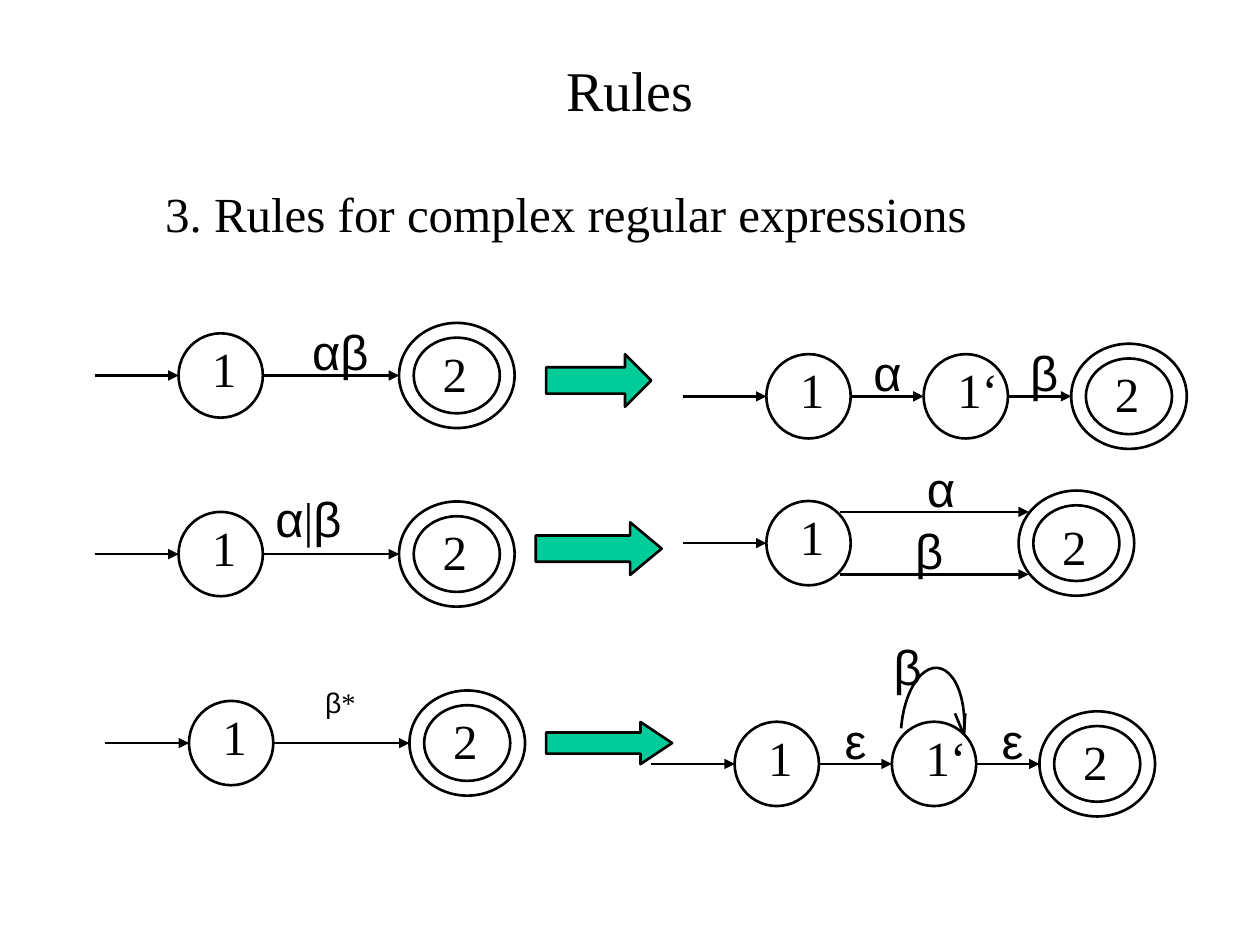
"""Build a slide of automaton rules for complex regular expressions."""
import itertools

import lxml.etree
import pptx
import pptx.dml.color
import pptx.enum.shapes
import pptx.enum.text
import pptx.oxml.ns
import pptx.util

BLACK = pptx.dml.color.RGBColor(0x00, 0x00, 0x00)
GREEN = pptx.dml.color.RGBColor(0x00, 0xCC, 0x99)
Cm = pptx.util.Cm
PRESET = pptx.enum.shapes.MSO_SHAPE
ALIGN = pptx.enum.text.PP_ALIGN
RADIUS = 0.85
ACCEPT_WIDTH, ACCEPT_HEIGHT = 2.33, 2.12
ENTRY_LENGTH = 1.69
LABEL_RISE = 0.49


def font_name(character):
    return "Arial" if character in "αβε" else "Times New Roman"


class AutomatonSlide:
    def __init__(self, slide):
        self.slide = slide

    def label(self, x, y, text, width=1.2, height=1.45, size=28, align=ALIGN.CENTER, raised=False):
        frame = self.slide.shapes.add_textbox(
            Cm(x - width / 2), Cm(y - height / 2), Cm(width), Cm(height)).text_frame
        frame.word_wrap = True
        frame.vertical_anchor = pptx.enum.text.MSO_ANCHOR.MIDDLE
        paragraph = frame.paragraphs[0]
        paragraph.alignment = align
        paragraph.font.size = pptx.util.Pt(size)
        paragraph.font.color.rgb = BLACK
        parts = [(name, "".join(part)) for name, part in itertools.groupby(text, font_name)]
        if len(parts) == 1:
            paragraph.font.name = parts[0][0]
        for name, part in parts:
            run = paragraph.add_run()
            run.text = part
            if len(parts) > 1:
                run.font.name = name
            if raised:
                run.font._element.set("baseline", "30000")

    def outline(self, preset, x, y, width, height, adjustments=(), fill=None):
        shape = self.slide.shapes.add_shape(
            preset, Cm(x - width / 2), Cm(y - height / 2), Cm(width), Cm(height))
        for index, value in enumerate(adjustments):
            shape.adjustments[index] = value
        shape.shadow.inherit = False
        if fill is None:
            shape.fill.background()
        else:
            shape.fill.solid()
            shape.fill.fore_color.rgb = fill
        shape.line.color.rgb = BLACK
        shape.line.width = pptx.util.Pt(1.5)
        return shape

    def line(self, x1, y1, x2, y2, arrow=True):
        connector = self.slide.shapes.add_connector(
            pptx.enum.shapes.MSO_CONNECTOR.STRAIGHT, Cm(x1), Cm(y1), Cm(x2), Cm(y2))
        connector.line.color.rgb = BLACK
        connector.line.width = pptx.util.Pt(1.5)
        qn = pptx.oxml.ns.qn
        if arrow:
            lxml.etree.SubElement(connector.line._get_or_add_ln(), qn("a:tailEnd"), type="triangle")
        lxml.etree.SubElement(connector._element.spPr, qn("a:effectLst"))

    def state(self, x, y, name="1", name_shift=0.07):
        self.outline(PRESET.OVAL, x, y, 2 * RADIUS, 2 * RADIUS)
        self.label(x + name_shift, y - 0.15, name, 1.4)

    def start(self, x, y):
        self.line(x - RADIUS - ENTRY_LENGTH, y, x - RADIUS, y)
        self.state(x, y)

    def accept(self, x, y, name_drop=-0.06):
        self.outline(PRESET.DONUT, x, y, ACCEPT_WIDTH, ACCEPT_HEIGHT, (0.14,))
        self.label(x - 0.04, y + name_drop, "2")

    def single_step(self, x, y):
        end = x + 4.76
        self.start(x, y)
        self.line(x + RADIUS, y, end - ACCEPT_WIDTH / 2, y)
        self.accept(end, y)

    def chain(self, x, y, first, second):
        middle, end = x + 3.17, x + 6.46
        self.start(x, y)
        self.line(x + RADIUS, y, middle - RADIUS, y)
        self.state(middle, y, "1‘", 0.24)
        self.line(middle + RADIUS, y, end - ACCEPT_WIDTH / 2, y)
        self.accept(end, y)
        self.label(x + 1.59, y - LABEL_RISE, first)
        self.label(x + 4.75, y - LABEL_RISE, second)

    def alternatives(self, x, y):
        self.start(x, y)
        self.accept(x + 5.4, y, 0.06)
        for symbol, label_x, offset in (("α", 2.67, -0.63), ("β", 2.43, 0.63)):
            self.line(x + 0.63, y + offset, x + 4.44, y + offset)
            self.label(x + label_x, y + offset - LABEL_RISE, symbol)

    def loop(self, x, y, symbol):
        self.outline(PRESET.ARC, x, y, 1.27, 2.54, (108, 0)).rotation = 4.3
        tip_x, tip_y = x + 0.63, y + 0.08
        for dx, dy in ((0.03, -0.43), (0, -0.2), (-0.18, -0.43)):
            self.line(tip_x, tip_y, tip_x + dx, tip_y + dy, arrow=False)
        self.label(x - 0.5, y - 1.31, symbol)

    def becomes(self, x, y, width, height, head):
        self.outline(PRESET.RIGHT_ARROW, x, y, width, height, (0.5, head), GREEN)


def main():
    presentation = pptx.Presentation()
    presentation.slide_width, presentation.slide_height = Cm(25.4), Cm(19.05)
    rules = AutomatonSlide(presentation.slides.add_slide(presentation.slide_layouts[6]))

    rules.label(12.7, 1.8, "Rules", 21.59, 2.74, 32)
    rules.label(11.48, 4.3, "3. Rules for complex regular expressions", 16.8, align=ALIGN.LEFT)

    rules.single_step(4.45, 7.57)
    rules.label(6.86, 7.07, "αβ", 1.7)
    rules.becomes(12.07, 7.67, 2.12, 1.06, 0.5)
    rules.chain(16.3, 7.99, "α", "β")

    rules.single_step(4.45, 11.17)
    rules.label(6.22, 10.45, "α|β", 1.9)
    rules.becomes(12.07, 11.06, 2.54, 1.06, 0.6)
    rules.alternatives(16.3, 10.95)

    rules.single_step(4.66, 14.98)
    rules.label(6.86, 14.29, "β*", 1.4, raised=True)
    rules.becomes(12.28, 14.98, 2.54, 0.85, 0.75)
    rules.chain(15.66, 15.4, "ε", "ε")
    rules.loop(18.8, 14.73, "β")

    presentation.save("out.pptx")


if __name__ == "__main__":
    main()
